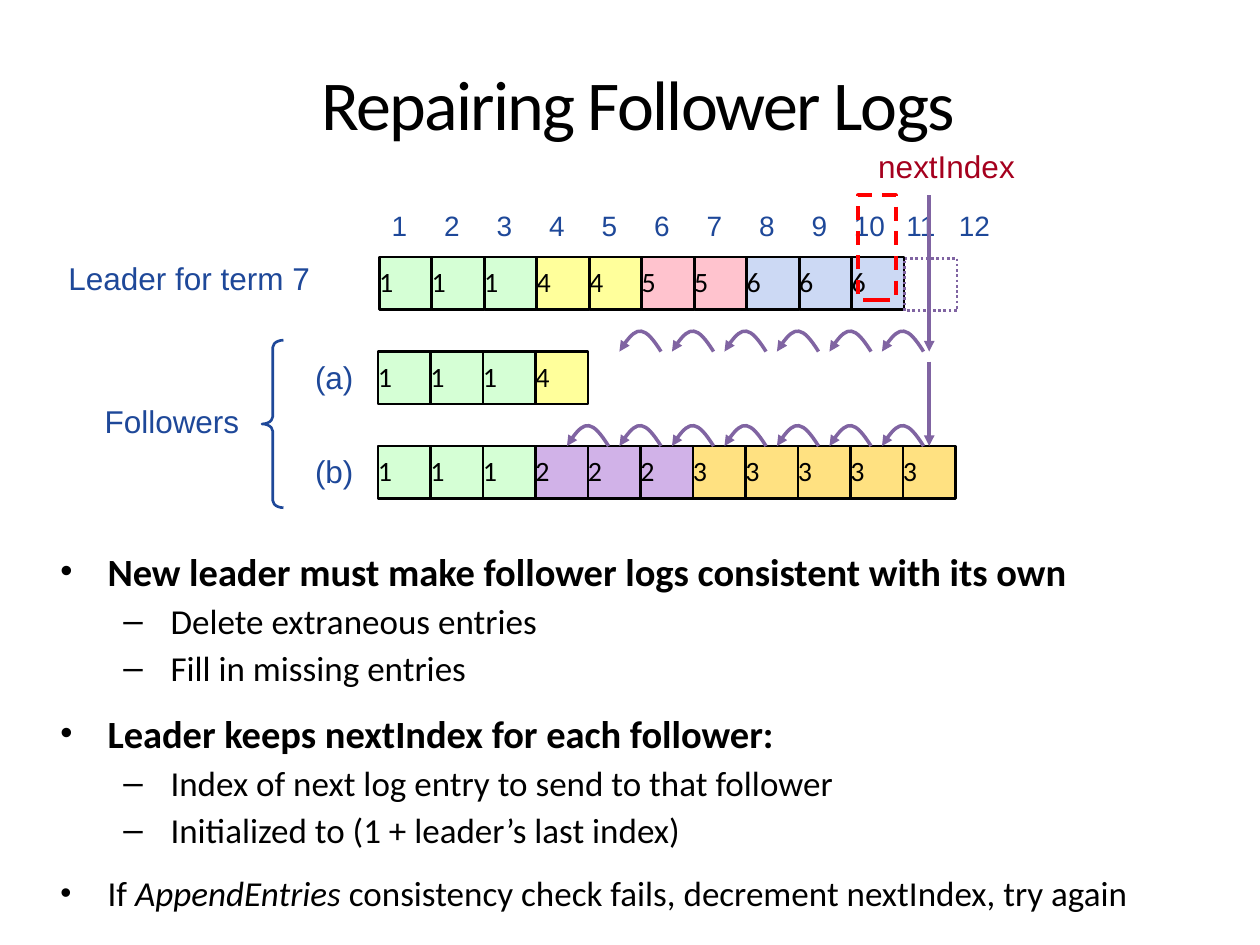
from pptx import Presentation
from pptx.dml.color import RGBColor
from pptx.enum.dml import MSO_LINE as Dash
from pptx.enum.shapes import MSO_CONNECTOR as Conn, MSO_SHAPE as Geo
from pptx.enum.text import MSO_ANCHOR as Anchor, PP_ALIGN as Align
from pptx.oxml.ns import qn
from pptx.util import Inches, Pt
from lxml.etree import SubElement

COLORS = {
    "black": "000000", "blue": "1E4899", "red": "A5001E", "alert": "FF0000",
    "purple": "8064A2",
}
TERMS = {
    1: "D5FFD5", 2: "D1B2E8", 3: "FFE181", 4: "FFFF9B", 5: "FFC3CE", 6: "CCD9F4",
}
LEADER = [1, 1, 1, 4, 4, 5, 5, 6, 6, 6]
LOG_A = [1, 1, 1, 4]
LOG_B = [1, 1, 1, 2, 2, 2, 3, 3, 3, 3, 3]
CELL = 5 / 12
BULLETS = [
    (0, [("New leader must make follower logs consistent with its own", "b")]),
    (1, [("Delete extraneous entries", "")]),
    (1, [("Fill in missing entries", "")]),
    (0, [("Leader keeps nextIndex for each follower:", "b")]),
    (1, [("Index of next log entry to send to that follower", "")]),
    (1, [("Initialized to (1 + leader’s last index)", "")]),
    (0, [("If ", ""), ("AppendEntries", "i"),
         (" consistency check fails, decrement nextIndex, try again", "")]),
]


def rgb(name):
    return RGBColor.from_string(COLORS.get(name, name))


def add_run(par, text, size, font="Arial", color="blue", bold=False, italic=False):
    run = par.add_run()
    run.text = text
    face = run.font
    face.size, face.name, face.bold, face.italic = Pt(size), font, bold, italic
    face.color.rgb = rgb(color)
    return run


def set_text(frame, text, size=18, align=Align.LEFT, lead=None, inset=0,
             anchor=Anchor.TOP, **style):
    frame.word_wrap = True
    frame.vertical_anchor = anchor
    frame.margin_left = frame.margin_right = Inches(inset)
    frame.margin_top = frame.margin_bottom = Inches(inset / 2)
    par = frame.paragraphs[0]
    par.alignment = align
    if lead:
        par.line_spacing = lead
    return add_run(par, text, size, **style)


def add_label(slide, text, x, y, w, h, **style):
    box = slide.shapes.add_textbox(Inches(x), Inches(y), Inches(w), Inches(h))
    return set_text(box.text_frame, text, **style)


def add_outline(slide, geo, x, y, w, h, color, width=1.5, fill=None, dash=None):
    shape = slide.shapes.add_shape(geo, Inches(x), Inches(y), Inches(w), Inches(h))
    shape.shadow.inherit = False
    if fill:
        shape.fill.solid()
        shape.fill.fore_color.rgb = rgb(fill)
    else:
        shape.fill.background()
    shape.line.color.rgb = rgb(color)
    shape.line.width = Pt(width)
    if dash:
        shape.line.dash_style = dash
    return shape


def style_arrow(shape):
    shape.line.color.rgb = rgb("purple")
    shape.line.width = Pt(2)
    SubElement(shape.line._get_or_add_ln(), qn("a:tailEnd"), type="triangle")


def add_arrow(slide, x, top, bottom, target=None):
    line = slide.shapes.add_connector(
        Conn.STRAIGHT, Inches(x), Inches(top), Inches(x), Inches(bottom))
    style_arrow(line)
    SubElement(line._element.spPr, qn("a:effectLst"))
    if target:
        line.end_connect(target, 0)


def add_hop(slide, x, y):
    """Arched arrow that goes left, from x + 0.33 to x, on the base line y."""
    pen = slide.shapes.build_freeform(Inches(x + 0.33), Inches(y))
    pen.add_line_segments([(Inches(x + 0.17), Inches(y - 0.15)),
                           (Inches(x), Inches(y))], close=False)
    hop = pen.convert_to_shape()
    track = next(hop._element.iter(qn("a:moveTo"))).getparent()
    for step in track.findall(qn("a:lnTo")):
        track.remove(step)
    curve = SubElement(track, qn("a:cubicBezTo"))
    for dx, dy in ((0.2, -0.06), (0.12, -0.05), (0, 0.15)):
        SubElement(curve, qn("a:pt"), x=str(Inches(dx)), y=str(Inches(dy)))
    hop.shadow.inherit = False
    hop.fill.background()
    style_arrow(hop)


def add_hops(slide, x, y, count):
    """Row of hops, counted leftwards from the one at x."""
    for i in range(count):
        add_hop(slide, x - i * CELL, y)


def add_log(slide, x, y, terms):
    cells = []
    for i, term in enumerate(terms):
        cell = add_outline(slide, Geo.RECTANGLE, x + i * CELL, y, CELL, CELL,
                           "black", fill=TERMS[term])
        set_text(cell.text_frame, str(term), size=16, font="Calibri",
                 color="black", lead=Pt(17), anchor=Anchor.MIDDLE)
        cells.append(cell)
    return cells


def add_leader(slide, x, y):
    add_log(slide, x, y, LEADER)
    add_label(slide, "Leader for term 7", x - 3.09, y + 0.05, 2.54, 0.27,
              align=Align.RIGHT, lead=Pt(19))
    for i in range(12):
        wide = CELL if i < 9 else 0.58
        add_label(slide, str(i + 1), x + i * CELL + (CELL - wide) / 2, y - 0.43,
                  wide, 0.37, size=16, inset=0.1)


def add_followers(slide, x, y):
    """Both follower logs with their brace; returns the last cell of log (b)."""
    brace = add_outline(slide, Geo.LEFT_BRACE, x - 0.92, y - 0.09, 0.17, 1.33, "blue")
    brace.adjustments[0] = 0.338
    add_label(slide, "Followers", x - 2.17, y + 0.44, 1.18, 0.27, lead=Pt(19))
    for i, (name, terms) in enumerate([("(a)", LOG_A), ("(b)", LOG_B)]):
        top = y + i * 0.75
        cells = add_log(slide, x, top, terms)
        add_label(slide, name, x - 0.5, top + 0.05, 0.42, 0.3)
    return cells[-1]


def add_pointer(slide, x, y, target):
    """Next index label, its path down the logs and the marked entries."""
    for base, count in ((y + 2.34, 7), (y + 1.59, 6)):
        add_hops(slide, x + 0.03, base, count)
    mid = (target.left + target.width / 2) / Inches(1)
    add_arrow(slide, mid, y + 0.35, y + 1.59)
    add_arrow(slide, mid, y + 1.67, y + 2.34, target)
    add_label(slide, "nextIndex", x, y, 1.18, 0.27, color="red", lead=Pt(19))
    add_outline(slide, Geo.RECTANGLE, x + 0.21, y + 0.85, CELL, CELL, "purple",
                dash=Dash.ROUND_DOT)
    add_outline(slide, Geo.RECTANGLE, x - 0.16, y + 0.35, 0.3, 0.83, "alert",
                width=2, dash=Dash.DASH)


def add_bullets(slide, x, y, w, h):
    box = slide.shapes.add_textbox(Inches(x), Inches(y), Inches(w), Inches(h))
    frame = box.text_frame
    frame.word_wrap = True
    for i, (level, runs) in enumerate(BULLETS):
        par = frame.add_paragraph() if i else frame.paragraphs[0]
        par.level = level
        par.space_before = Pt(3 if level else 12)
        for text, mark in runs:
            add_run(par, text, 22 if mark == "b" else 20, font="Calibri",
                    color="black", bold=mark == "b", italic=mark == "i")
        props = par._p.get_or_add_pPr()
        props.set("marL", str(Inches(3 / 8 + level / 2)))
        props.set("indent", str(-Inches(3 / 8)))
        tint = SubElement(props, qn("a:buClr"))
        SubElement(tint, qn("a:srgbClr"), val=COLORS["black"])
        if not level:
            SubElement(props, qn("a:buSzPct"), val="90000")
        SubElement(props, qn("a:buFont"), typeface="Arial")
        SubElement(props, qn("a:buChar"), char="–" if level else "•")


def add_title(slide, x, y, w, h):
    run = add_label(slide, "Repairing Follower Logs", x, y, w, h, size=40,
                    font="Calibri", color="black", align=Align.CENTER, lead=0.8,
                    inset=0.1, anchor=Anchor.BOTTOM)
    run.font._element.set("spc", "-100")


def main():
    deck = Presentation()
    deck.slide_width, deck.slide_height = Inches(10), Inches(7.5)
    slide = deck.slides.add_slide(deck.slide_layouts[6])
    add_title(slide, 0.38, 0.02, 9.37, 1.17)
    add_leader(slide, 3.01, 2.04)
    last = add_followers(slide, 3, 2.79)
    add_pointer(slide, 6.97, 1.2, last)
    add_bullets(slide, 0.38, 4.3, 9.62, 3.17)
    deck.save("out.pptx")


if __name__ == "__main__":
    main()
